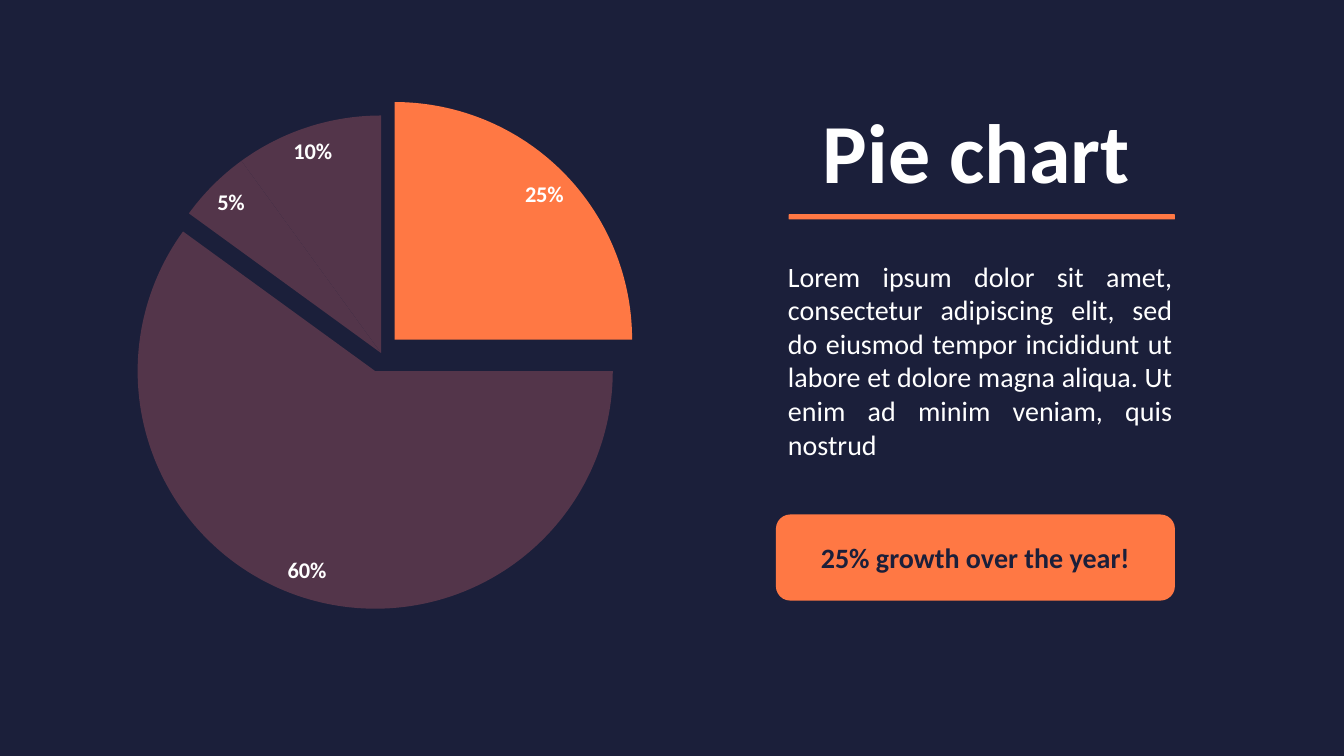
import pptx
import pptx.chart.data
import pptx.dml.color
import pptx.enum.chart
import pptx.enum.shapes
import pptx.enum.text
import pptx.oxml
import pptx.oxml.ns
import pptx.util
from dataclasses import dataclass

EMU_PER_PX = 9525


@dataclass(frozen=True)
class Theme:
    navy: str = "1B1F3A"
    orange: str = "FF7844"
    plum: str = "53354A"
    white: str = "FFFFFF"
    font: str = "Calibri"
    title: int = 60
    body: int = 20
    label: int = 16


THEME = Theme()
ALIGN = pptx.enum.text.PP_ALIGN


def px(*lengths):
    return [pptx.util.Emu(n * EMU_PER_PX) for n in lengths]


def rgb(color):
    return pptx.dml.color.RGBColor.from_string(color)


def set_font(font, size, color, bold=False):
    font.name = THEME.font
    font.size = pptx.util.Pt(size)
    font.bold = bold
    font.color.rgb = rgb(color)


def set_text(sp, text, size, color, align, bold=False):
    tf = sp.text_frame
    tf.word_wrap = True
    p = tf.paragraphs[0]
    p.text = text
    p.alignment = align
    set_font(p.font, size, color, bold)


def add_text(s, box, *text_args, **text_options):
    set_text(s.shapes.add_textbox(*px(*box)), *text_args, **text_options)


def add_rounded_bar(s, box, color):
    kind = pptx.enum.shapes.MSO_SHAPE.ROUNDED_RECTANGLE
    sp = s.shapes.add_shape(kind, *px(*box))
    sp.shadow.inherit = False
    sp.fill.solid()
    sp.fill.fore_color.rgb = rgb(color)
    sp.line.fill.background()
    return sp


def set_plot_layout(chart, **fractions):
    """Place the inner plot area by fractions of the chart frame."""
    plot_area = chart._chartSpace.chart.plotArea
    for old in plot_area.findall(pptx.oxml.ns.qn("c:layout")):
        plot_area.remove(old)
    values = "".join(f'<c:{k} val="{v}"/>' for k, v in fractions.items())
    plot_area.insert(0, pptx.oxml.parse_xml(
        f'<c:layout {pptx.oxml.ns.nsdecls("c")}><c:manualLayout>'
        '<c:layoutTarget val="inner"/><c:xMode val="edge"/><c:yMode val="edge"/>'
        f'{values}</c:manualLayout></c:layout>'))


def explode(series, index, percent):
    point = series._element.get_or_add_dPt_for_point(index)
    point.insert(1, pptx.oxml.parse_xml(
        f'<c:explosion {pptx.oxml.ns.nsdecls("c")} val="{percent}"/>'))


def add_pie(s, box, shares, colors, explosions):
    data = pptx.chart.data.CategoryChartData(number_format="0%")
    data.categories = [str(i + 1) for i in range(len(shares))]
    data.add_series("Series 1", shares)
    kind = pptx.enum.chart.XL_CHART_TYPE.PIE
    chart = s.shapes.add_chart(kind, *px(*box), data).chart
    chart.has_legend = False
    chart.has_title = False
    set_font(chart.font, THEME.label, THEME.white, bold=True)
    set_plot_layout(chart, x=0.21, y=0.06, w=0.57, h=0.87)

    # Slices
    plot = chart.plots[0]
    plot.vary_by_categories = True
    series = plot.series[0]
    for i, (color, explosion) in enumerate(zip(colors, explosions)):
        fmt = series.points[i].format
        fmt.fill.solid()
        fmt.fill.fore_color.rgb = rgb(color)
        fmt.line.fill.background()
        if explosion:
            explode(series, i, explosion)

    # Value labels
    labels = series.data_labels
    labels.show_value = True
    labels.show_percentage = False
    labels.number_format = "0%"
    labels.number_format_is_linked = False
    labels.position = pptx.enum.chart.XL_LABEL_POSITION.BEST_FIT
    set_font(labels.font, THEME.label, THEME.white, bold=True)


def main():
    prs = pptx.Presentation()
    prs.slide_width, prs.slide_height = px(1280, 720)
    s = prs.slides.add_slide(prs.slide_layouts[6])
    s.background.fill.solid()
    s.background.fill.fore_color.rgb = rgb(THEME.navy)

    # Chart
    add_pie(s, (-30, 75, 794, 528), [0.25, 0.6, 0.05, 0.1],
            [THEME.orange] + [THEME.plum] * 3, [8, 8, 0, 0])

    # Heading and description
    add_text(s, (733, 90, 394, 107), "Pie chart", THEME.title, THEME.white,
             ALIGN.CENTER, bold=True)
    add_rounded_bar(s, (751, 204, 368, 5), THEME.orange)
    add_text(s, (741, 242, 385, 204),
             "Lorem ipsum dolor sit amet, consectetur adipiscing elit, sed do "
             "eiusmod tempor incididunt ut labore et dolore magna aliqua. Ut "
             "enim ad minim veniam, quis nostrud",
             THEME.body, THEME.white, ALIGN.JUSTIFY)

    # Callout
    callout = add_rounded_bar(s, (739, 490, 380, 82), THEME.orange)
    set_text(callout, "25% growth over the year!", THEME.body, THEME.navy,
             ALIGN.CENTER, bold=True)
    callout.text_frame.vertical_anchor = pptx.enum.text.MSO_ANCHOR.MIDDLE

    prs.save("out.pptx")


if __name__ == "__main__":
    main()
